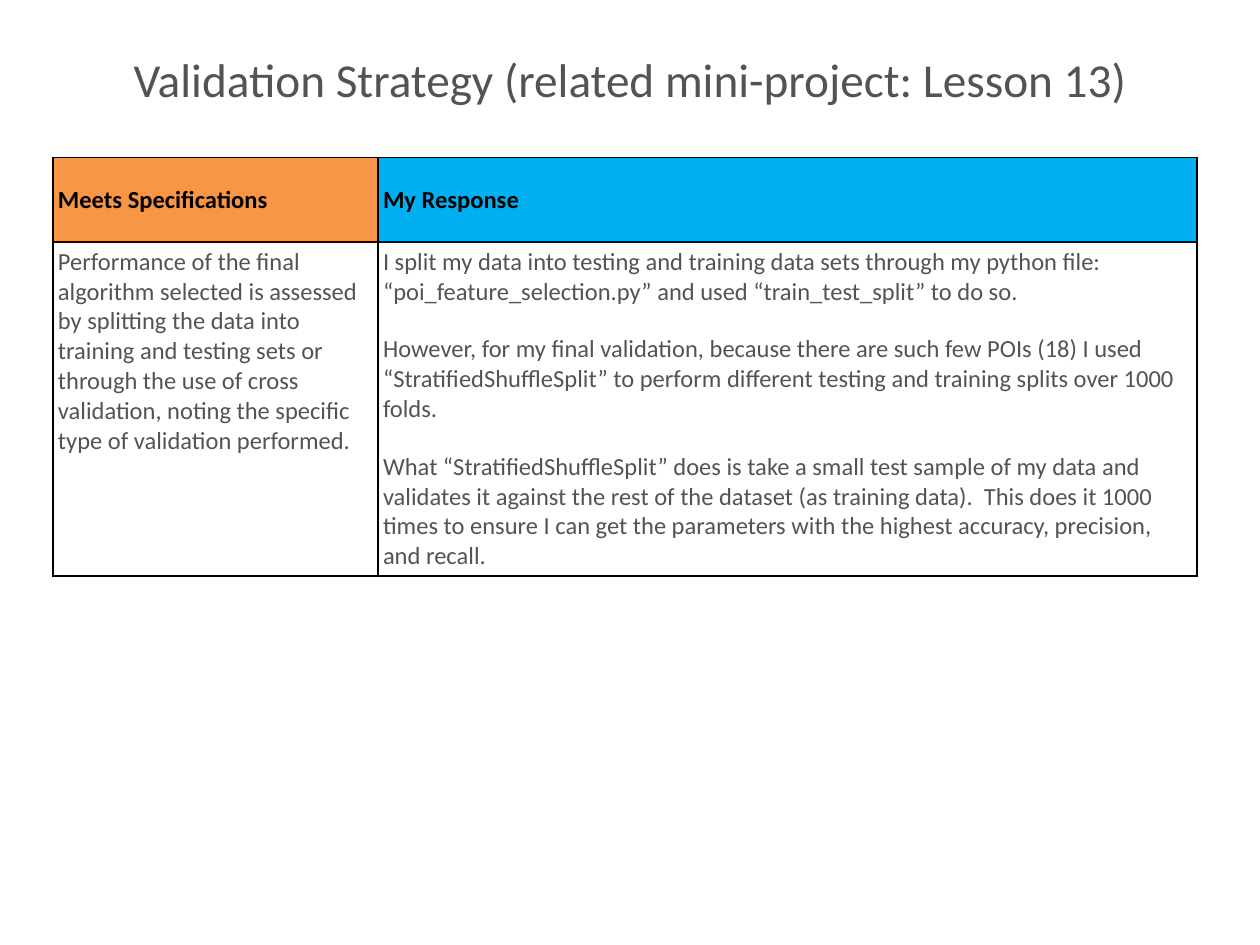
"""Build the validation strategy slide: a title above a two-column table."""
from dataclasses import dataclass

import lxml.etree
import pptx
import pptx.dml.color
import pptx.enum.text
import pptx.oxml.ns
import pptx.util

WIDTH, HEIGHT = 10, 7.5
FONT = "Calibri"
GREY, BLACK, WHITE = "535353", "000000", "FFFFFF"
ORANGE, BLUE = "F79646", "00B0F0"
MIDDLE = pptx.enum.text.MSO_ANCHOR.MIDDLE
TOP = pptx.enum.text.MSO_ANCHOR.TOP


@dataclass
class Column:
    """A table column with its header and body paragraphs."""
    width: float
    header: str
    fill: str
    body: list[str]


COLUMNS = [
    Column(2.58, "Meets Specifications", ORANGE, [
        "Performance of the final algorithm selected is assessed by splitting the data into "
        "training and testing sets or through the use of cross validation, noting the specific "
        "type of validation performed.",
    ]),
    Column(6.5, "My Response", BLUE, [
        "I split my data into testing and training data sets through my python file:  "
        "“poi_feature_selection.py” and used “train_test_split” to do so.",
        "However, for my final validation, because there are such few POIs (18) I used "
        "“StratifiedShuffleSplit” to perform different testing and training splits over 1000 folds.",
        "What “StratifiedShuffleSplit” does is take a small test sample of my data and validates "
        "it against the rest of the dataset (as training data).  This does it 1000 times to ensure "
        "I can get the parameters with the highest accuracy, precision, and recall.",
    ]),
]
ROW_HEIGHTS = [0.67, 1.58]


def inches(value: float) -> int:
    """Convert inches to a slide length."""
    return pptx.util.Inches(value)


def rgb(value: str) -> pptx.dml.color.RGBColor:
    """Turn a hex string into a colour."""
    return pptx.dml.color.RGBColor.from_string(value)


def style(p, size: float, color: str, bold: bool = False) -> None:
    """Set the font of a paragraph."""
    p.font.name = FONT
    p.font.size = pptx.util.Pt(size)
    p.font.bold = bold
    p.font.color.rgb = rgb(color)


def add_borders(cell, color: str = BLACK, points: float = 1) -> None:
    """Draw a solid line on all four sides of a cell."""
    qn = pptx.oxml.ns.qn
    props = cell._tc.get_or_add_tcPr()
    for i, side in enumerate(("lnL", "lnR", "lnT", "lnB")):
        line = lxml.etree.Element(qn(f"a:{side}"), w=str(pptx.util.Pt(points)))
        fill = lxml.etree.SubElement(line, qn("a:solidFill"))
        lxml.etree.SubElement(fill, qn("a:srgbClr"), val=color)
        props.insert(i, line)


def fill_cell(cell, texts: list[str], fill: str, color: str, bold: bool, anchor) -> None:
    """Write and format one table cell."""
    cell.margin_left = cell.margin_right = inches(0.04)
    cell.margin_top = cell.margin_bottom = inches(0.04)
    cell.vertical_anchor = anchor
    cell.fill.solid()
    cell.fill.fore_color.rgb = rgb(fill)
    add_borders(cell)
    tf = cell.text_frame
    for i, text in enumerate(texts):
        p = tf.add_paragraph() if i else tf.paragraphs[0]
        p.text = text
        style(p, 14, color, bold)
        if i:
            p.space_before = pptx.util.Pt(16)


def add_title(s, text: str) -> None:
    """Place the title across the top sixth of the slide."""
    sp = s.shapes.title
    sp.left, sp.top = inches(WIDTH * 0.05), 0
    sp.width, sp.height = inches(WIDTH * 0.9), inches(HEIGHT / 6)
    tf = sp.text_frame
    tf.margin_left = tf.margin_right = tf.margin_top = tf.margin_bottom = inches(0.05)
    tf.vertical_anchor = MIDDLE
    p = tf.paragraphs[0]
    p.text = text
    p.alignment = pptx.enum.text.PP_ALIGN.CENTER
    style(p, 27, GREY)


def add_response_table(s, columns: list[Column]) -> None:
    """Add the table of specifications and responses."""
    width = sum(column.width for column in columns)
    table = s.shapes.add_table(
        len(ROW_HEIGHTS), len(columns), inches(0.42), inches(HEIGHT / 6),
        inches(width), inches(sum(ROW_HEIGHTS))).table
    table.first_row = table.horz_banding = False
    for row, height in zip(table.rows, ROW_HEIGHTS):
        row.height = inches(height)
    for i, column in enumerate(columns):
        table.columns[i].width = inches(column.width)
        fill_cell(table.cell(0, i), [column.header], column.fill, BLACK, True, MIDDLE)
        fill_cell(table.cell(1, i), column.body, WHITE, GREY, False, TOP)


def main() -> None:
    """Build and save the slide."""
    prs = pptx.Presentation()
    prs.slide_width, prs.slide_height = inches(WIDTH), inches(HEIGHT)
    s = prs.slides.add_slide(prs.slide_layouts[5])
    add_title(s, "Validation Strategy (related mini-project: Lesson 13)")
    add_response_table(s, COLUMNS)
    prs.save("out.pptx")


if __name__ == "__main__":
    main()
